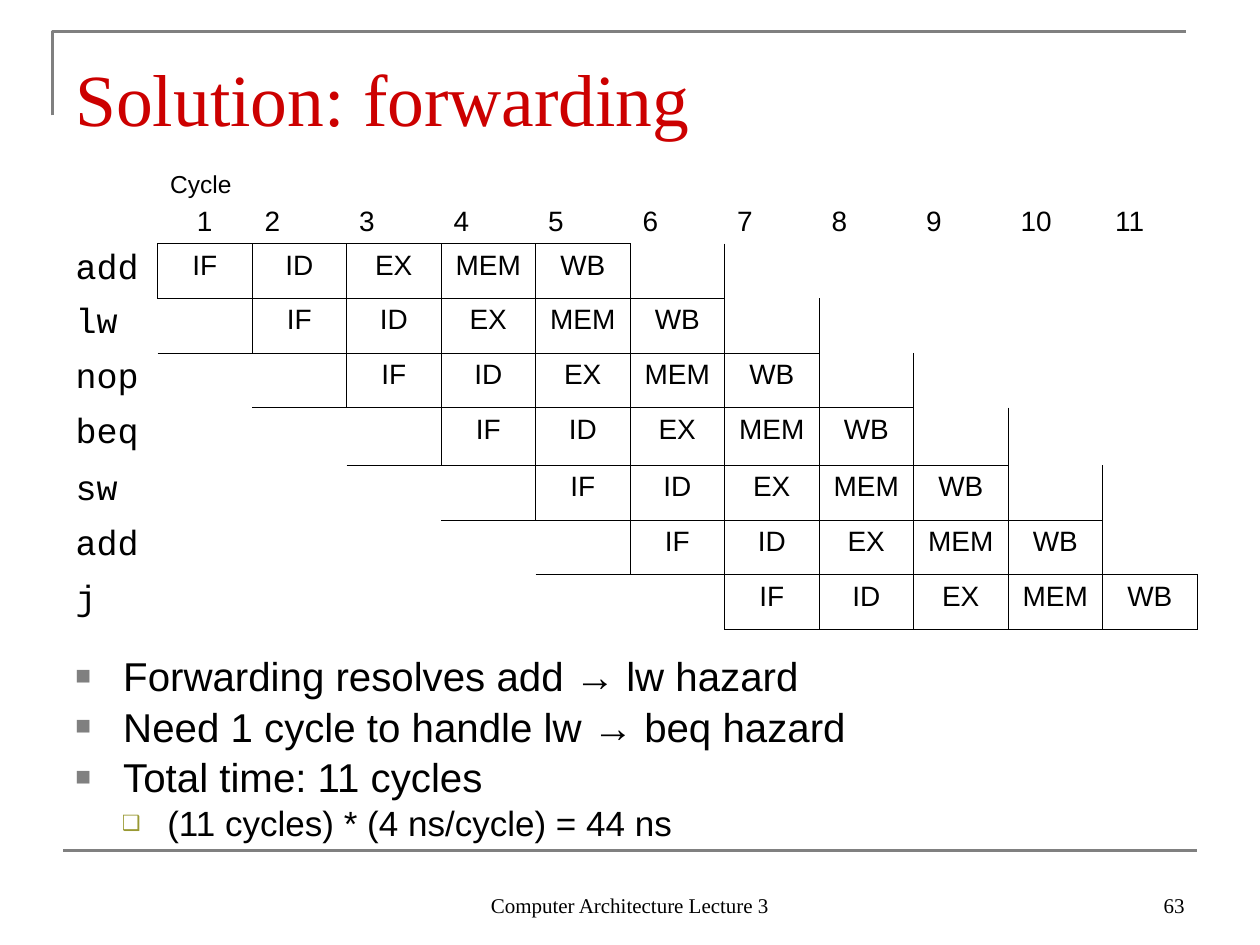
from dataclasses import dataclass

from lxml.etree import SubElement
from pptx import Presentation
from pptx.dml.color import RGBColor
from pptx.enum.shapes import MSO_CONNECTOR as Connector
from pptx.enum.text import MSO_ANCHOR as Anchor, PP_ALIGN as Align
from pptx.oxml.ns import qn
from pptx.util import Inches, Pt


@dataclass(frozen=True)
class Theme:
    ink: str = "000000"
    title: str = "CC0000"
    rule: str = "808080"
    sub_bullet: str = "999933"
    sans: str = "Arial"
    serif: str = "Times New Roman"
    mono: str = "Courier New"
    title_size: int = 42
    body_size: int = 23
    sub_size: int = 20
    code_size: int = 20
    stage_size: int = 16
    label_size: int = 14
    footer_size: int = 12
    rule_width: float = 1.5
    border_width: float = 0.45
    no_table_style: str = "{2D5ABB26-0587-4C30-8999-92F81FD0307C}"


def grid(count):
    """Length of a number of grid steps, twelve to the inch."""
    return Inches(count / 12)


def add_bullet(para, mark, color, percent, margin, hanging):
    props = para._p.get_or_add_pPr()
    props.set("marL", str(Inches(margin)))
    props.set("indent", str(-Inches(hanging)))
    SubElement(SubElement(props, qn("a:buClr")), qn("a:srgbClr"), val=color)
    SubElement(props, qn("a:buSzPct"), val=str(percent * 1000))
    SubElement(props, qn("a:buFont"), typeface="Arial")
    SubElement(props, qn("a:buChar"), char=mark)


def write(frame, text, *, size, font, color=Theme.ink, align=Align.LEFT,
          before=0, line=None, bullet=None):
    """Fill the empty first paragraph of a frame, or add one more."""
    first = frame.paragraphs[0]
    is_first = not first.runs
    para = first if is_first else frame.add_paragraph()
    if bullet:
        add_bullet(para, *bullet)
    para.alignment = align
    para.space_before = Pt(0 if is_first else before)
    if line:
        para.line_spacing = line
    span = para.add_run()
    span.text = text
    span.font.size = Pt(size)
    span.font.name = font
    span.font.color.rgb = RGBColor.from_string(color)


class SlideBuilder:
    def __init__(self, deck, theme):
        self.theme = theme
        self.slide = deck.slides.add_slide(deck.slide_layouts[6])
        self.shapes = self.slide.shapes

    def style_line(self, shape):
        shape.line.color.rgb = RGBColor.from_string(self.theme.rule)
        shape.line.width = Pt(self.theme.rule_width)

    def corner(self, left, top, right, bottom):
        pen = self.shapes.build_freeform(grid(left), grid(bottom))
        pen.add_line_segments([(grid(left), grid(top)), (grid(right), grid(top))],
                              close=False)
        shape = pen.convert_to_shape()
        shape.shadow.inherit = False
        shape.fill.background()
        self.style_line(shape)

    def rule(self, left, right, top):
        line = self.shapes.add_connector(Connector.STRAIGHT, grid(left), grid(top),
                                         grid(right), grid(top))
        self.style_line(line)
        SubElement(line._element.spPr, qn("a:effectLst"))

    def text_box(self, left, top, width, height, anchor=Anchor.TOP, inset_top=0.05):
        box = self.shapes.add_textbox(grid(left), grid(top), grid(width), grid(height))
        frame = box.text_frame
        frame.word_wrap = True
        frame.vertical_anchor = anchor
        frame.margin_top = Inches(inset_top)
        return frame

    def table(self, left, top, column_width, columns, row_heights):
        table = self.shapes.add_table(
            len(row_heights), columns, grid(left), grid(top),
            grid(column_width * columns), grid(sum(row_heights))).table
        table.first_row = table.horz_banding = False
        table._tbl.tblPr.find(qn("a:tableStyleId")).text = self.theme.no_table_style
        for column in table.columns:
            column.width = grid(column_width)
        for row, height in zip(table.rows, row_heights):
            row.height = grid(height)
        return table

    def border(self, cell, sides):
        props = cell._tc.get_or_add_tcPr()
        for side in sides:
            line = SubElement(props, qn(f"a:ln{side}"),
                              w=str(Pt(self.theme.border_width)))
            SubElement(SubElement(line, qn("a:solidFill")), qn("a:srgbClr"),
                       val=self.theme.ink)

    def pipeline(self, instructions, stages, cycles, **place):
        """Each instruction starts one cycle after the one above it."""
        theme = self.theme
        table = self.table(columns=cycles + 1, **place)

        def is_stage(row, column):
            return (1 <= row <= len(instructions)
                    and 0 <= column - row < len(stages))

        # Borders: an edge shows where a stage lies on either side of it
        neighbours = {"L": (0, -1), "R": (0, 1), "T": (-1, 0), "B": (1, 0)}
        for row in range(len(instructions) + 1):
            for column in range(cycles + 1):
                cell = table.cell(row, column)
                self.border(cell, [
                    side for side, (down, right) in neighbours.items()
                    if is_stage(row, column) or is_stage(row + down, column + right)])
                cell.fill.background()
                if is_stage(row, column):
                    write(cell.text_frame, stages[column - row], font=theme.sans,
                          size=theme.stage_size, align=Align.CENTER)

        # Cycle numbers
        for cycle in range(1, cycles + 1):
            cell = table.cell(0, cycle)
            cell.vertical_anchor = Anchor.BOTTOM
            if cycle == 1:
                write(cell.text_frame, "Cycle", font=theme.sans, size=theme.label_size)
            write(cell.text_frame, str(cycle), font=theme.sans, size=theme.stage_size,
                  align=Align.CENTER if cycle == 1 else Align.LEFT, before=4)

        # Instruction names
        for row, name in enumerate(instructions, start=1):
            write(table.cell(row, 0).text_frame, name,
                  font=theme.mono, size=theme.code_size)


def main():
    theme = Theme()
    deck = Presentation()
    deck.slide_width, deck.slide_height = Inches(10), Inches(7.5)
    page = SlideBuilder(deck, theme)

    # Frame lines
    page.corner(left=5, top=3, right=113, bottom=11)
    page.rule(left=6, right=114, top=81)

    # Title
    write(page.text_box(6, 3.6, 108, 9.4, inset_top=0.12), "Solution: forwarding",
          size=theme.title_size, font=theme.serif, color=theme.title)

    # Conclusions
    body = page.text_box(6, 62, 108, 18.5, inset_top=0.07)
    for text in ("Forwarding resolves add → lw hazard",
                 "Need 1 cycle to handle lw → beq hazard",
                 "Total time: 11 cycles"):
        write(body, text, size=theme.body_size, font=theme.sans, before=5.8, line=0.83,
              bullet=("■", theme.rule, 65, 0.38, 0.38))
    write(body, "(11 cycles) * (4 ns/cycle) = 44 ns", size=theme.sub_size,
          font=theme.sans, before=5, line=0.83,
          bullet=("❑", theme.sub_bullet, 60, 0.73, 0.36))

    # Footer and slide number
    for text, left, width, align in (
            ("Computer Architecture Lecture 3", 41, 38, Align.CENTER),
            ("63", 86, 28, Align.RIGHT)):
        write(page.text_box(left, 82, width, 6, Anchor.BOTTOM), text,
              size=theme.footer_size, font=theme.serif, align=align)

    # Pipeline diagram
    page.pipeline(["add", "lw", "nop", "beq", "sw", "add", "j"],
                  ["IF", "ID", "EX", "MEM", "WB"], cycles=11,
                  left=6, top=15, column_width=9,
                  row_heights=[8.2, 5.2, 5.2, 5.2, 5.5, 5.2, 5.2, 5.2])

    deck.save("out.pptx")


if __name__ == "__main__":
    main()
